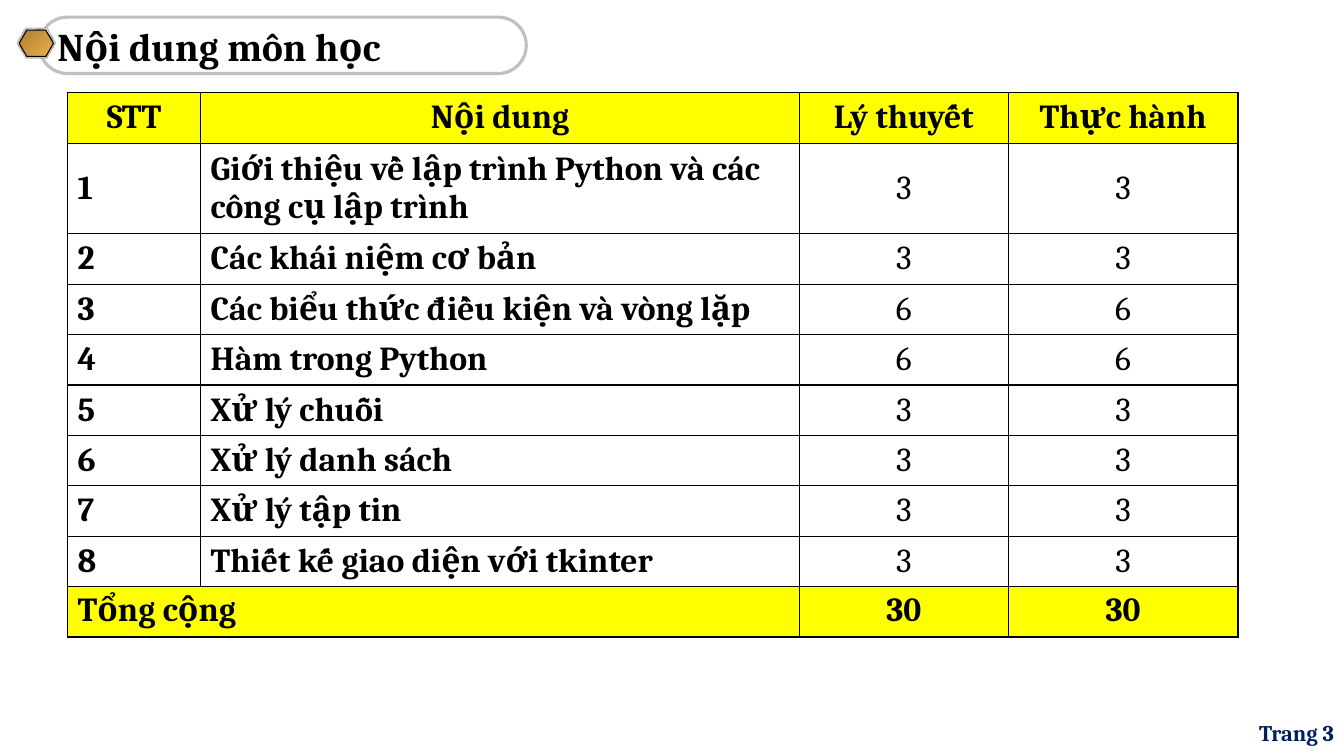
from lxml.etree import SubElement as Sub
from pptx import Presentation
from pptx.dml.color import RGBColor as RGB
from pptx.enum.shapes import MSO_SHAPE as Shape
from pptx.enum.text import MSO_ANCHOR as Anchor, MSO_AUTO_SIZE as Auto, PP_ALIGN as Align
from pptx.oxml.ns import qn
from pptx.util import Inches, Pt

BLACK = RGB(0x00, 0x00, 0x00)
NAVY = RGB(0x00, 0x20, 0x60)
YELLOW = RGB(0xFF, 0xFF, 0x00)
SILVER = RGB(0xC0, 0xC0, 0xC0)
GRAY = RGB(0x80, 0x80, 0x80)
PALE = RGB(0xE6, 0xE6, 0xE6)
STEEL = RGB(0x7D, 0x84, 0x96)
WHITE = RGB(0xFF, 0xFF, 0xFF)
BRONZE = RGB(0xAB, 0x7E, 0x34)
GOLD = RGB(0xEF, 0xB0, 0x49)

CHROME = [(0, PALE), (7, STEEL), (26, PALE), (34, STEEL), (46, PALE), (50, WHITE),
          (54, PALE), (66, STEEL), (74, PALE), (93, STEEL), (100, PALE)]
AMBER = [(0, BRONZE), (100, GOLD)]

HEADS = ["STT", "Nội dung", "Lý thuyết", "Thực hành"]
TOPICS = [
    ("Giới thiệu về lập trình Python và các công cụ lập trình", 3),
    ("Các khái niệm cơ bản", 3),
    ("Các biểu thức điều kiện và vòng lặp", 6),
    ("Hàm trong Python", 6),
    ("Xử lý chuỗi", 3),
    ("Xử lý danh sách", 3),
    ("Xử lý tập tin", 3),
    ("Thiết kế giao diện với tkinter", 3),
]
WIDTHS = [1.32, 5.94, 2.07, 2.28]


def write(frame, text, size=24, bold=True, color=BLACK, align=Align.LEFT):
    par = frame.paragraphs[0]
    par.alignment = align
    run = par.add_run()
    run.text = text
    font = run.font
    font.name, font.size, font.bold = "Cambria", Pt(size), bold
    font.color.rgb = color


def blend(fill, stops):
    """Fill with a diagonal gradient of (percent, colour) stops."""
    fill.gradient()
    fill.gradient_angle = 315
    first = fill.gradient_stops[0]
    group = fill._fill._gradFill.find(qn("a:gsLst"))
    for stop in list(group):
        group.remove(stop)
    for pos, color in stops:
        stop = Sub(group, qn("a:gs"), pos=str(pos * 1000))
        Sub(stop, qn("a:srgbClr"), val=str(color))


def draw(slide, kind, box, fill=None, stops=None, line=None, weight=0.75):
    shape = slide.shapes.add_shape(kind, *map(Inches, box))
    shape.shadow.inherit = False
    if stops:
        blend(shape.fill, stops)
    elif fill is not None:
        shape.fill.solid()
        shape.fill.fore_color.rgb = fill
    else:
        shape.fill.background()
    if line is not None:
        shape.line.color.rgb = line
        shape.line.width = Pt(weight)
    else:
        shape.line.fill.background()
    return shape


def badge(slide, x, y, w, h):
    """Hexagon badge: shade, chrome rim and gold face."""
    layers = [
        ((x, y + 0.01, w, h), dict(fill=GRAY)),
        ((x, y, w, h), dict(stops=CHROME, line=SILVER)),
        ((x + 0.02, y + 0.02, w - 0.04, h - 0.03), dict(stops=AMBER, line=BLACK)),
    ]
    for box, look in layers:
        hexa = draw(slide, Shape.HEXAGON, box, **look)
        hexa.adjustments[0] = 0.289


def header(slide, x, y, w, h):
    # Rounded outline
    pill = draw(slide, Shape.ROUNDED_RECTANGLE, (x, y, w, h), line=SILVER, weight=2.25)
    pill.adjustments[0] = 0.5
    # Title
    title = slide.shapes.title
    title.left, title.top, title.width, title.height = map(
        Inches, (x + 0.08, y, w - 0.16, h))
    frame = title.text_frame
    frame.auto_size, frame.word_wrap = Auto.NONE, False
    frame.vertical_anchor = Anchor.MIDDLE
    write(frame, "Nội dung môn học", size=28)
    badge(slide, x - 0.22, y + 0.11, 0.38, 0.29)


def edge(cell):
    """Thin black border on all four sides."""
    props = cell._tc.get_or_add_tcPr()
    for side in ("lnL", "lnR", "lnT", "lnB"):
        line = Sub(props, qn("a:" + side), w=str(Pt(1)))
        Sub(Sub(line, qn("a:solidFill")), qn("a:srgbClr"), val=str(BLACK))


def plan(slide, x, y, w, h):
    rows = [HEADS]
    rows += [[i, name, hours, hours] for i, (name, hours) in enumerate(TOPICS, 1)]
    total = sum(hours for _, hours in TOPICS)
    rows.append(["Tổng cộng", "", total, total])
    last = len(rows) - 1

    table = slide.shapes.add_table(
        len(rows), len(WIDTHS), *map(Inches, (x, y, w, h))).table
    table.first_row = table.horz_banding = False
    for col, width in zip(table.columns, WIDTHS):
        col.width = Inches(width)
    for r, row in enumerate(table.rows):
        row.height = Inches(0.9 if r == 1 else 0.5)

    for r, row in enumerate(rows):
        strong = r in (0, last)
        for c, value in enumerate(row):
            cell = table.cell(r, c)
            edge(cell)
            if strong:
                cell.fill.solid()
                cell.fill.fore_color.rgb = YELLOW
            else:
                cell.fill.background()
            cell.vertical_anchor = Anchor.TOP if r == last else Anchor.MIDDLE
            if value != "":
                center = r == 0 or c > 1
                write(cell.text_frame, str(value), bold=strong or c < 2,
                      align=Align.CENTER if center else Align.LEFT)
    table.cell(last, 0).merge(table.cell(last, 1))


def footer(slide, x, y, w, h):
    frame = slide.shapes.add_textbox(*map(Inches, (x, y, w, h))).text_frame
    frame.word_wrap = True
    frame.vertical_anchor = Anchor.MIDDLE
    write(frame, "Trang 3", size=16, color=NAVY, align=Align.RIGHT)


def main():
    deck = Presentation()
    deck.slide_width, deck.slide_height = Inches(13.33), Inches(7.5)
    slide = deck.slides.add_slide(deck.slide_layouts[5])
    header(slide, 0.39, 0.17, 4.83, 0.56)
    plan(slide, 0.67, 0.92, sum(WIDTHS), 5.4)
    footer(slide, 10.22, 7.07, 3.11, 0.4)
    deck.save("out.pptx")


if __name__ == "__main__":
    main()
